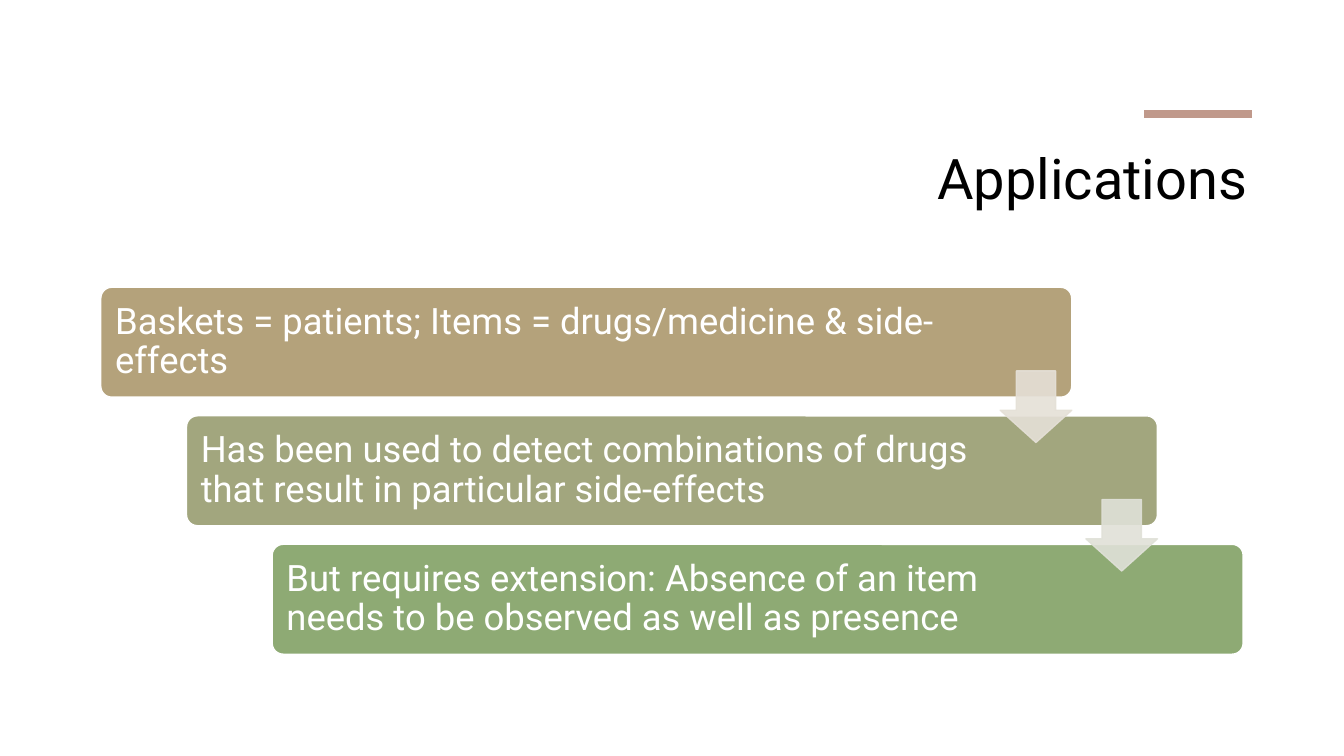
from lxml.etree import SubElement
from pptx import Presentation
from pptx.dml.color import RGBColor
from pptx.enum.shapes import MSO_CONNECTOR as Conn, MSO_SHAPE as Shape
from pptx.enum.text import MSO_ANCHOR as Anchor, MSO_AUTO_SIZE as Fit, PP_ALIGN as Align
from pptx.oxml.ns import qn
from pptx.util import Inches, Pt

CARDS = [
    ("Baskets = patients; Items = drugs/medicine & side-effects", "B4A27B", 1.23),
    ("Has been used to detect combinations of drugs that result in particular side-effects",
     "A2A67E", 1.67),
    ("But requires extension: Absence of an item needs to be observed as well as presence",
     "8EAA74", 1.67),
]
ARROWS = ["E5E0D7", "E0E1D8"]
LEFT, TOP, WIDTH, HEIGHT = 1, 2.85, 9.63, 1.09
STEP_X, STEP_Y = 0.85, 1.275
ARROW = 0.71


def rgb(code):
    return RGBColor.from_string(code)


class Deck:
    font = "Roboto"

    def __init__(self):
        self.prs = Presentation()
        self.prs.slide_width, self.prs.slide_height = Inches(13.33), Inches(7.5)
        self.slide = self.prs.slides.add_slide(self.prs.slide_layouts[5])

    def style(self, para, size, color):
        para.font.name, para.font.size = self.font, Pt(size)
        para.font.color.rgb = rgb(color)

    def title(self, text, x, y, w, h):
        box = self.slide.shapes.title
        box.left, box.top, box.width, box.height = map(Inches, (x, y, w, h))
        frame = box.text_frame
        frame.text = text
        frame.auto_size, frame.vertical_anchor = Fit.NONE, Anchor.TOP
        para = frame.paragraphs[0]
        para.alignment = Align.RIGHT
        self.style(para, 40, "000000")

    def rule(self, x, y, end, color, width):
        line = self.slide.shapes.add_connector(
            Conn.STRAIGHT, Inches(x), Inches(y), Inches(end), Inches(y))
        line.line.color.rgb, line.line.width = rgb(color), Pt(width)
        SubElement(line._element.spPr, qn("a:effectLst"))

    def block(self, kind, x, y, w, h, fill, edge, adjust):
        shape = self.slide.shapes.add_shape(kind, *map(Inches, (x, y, w, h)))
        for i, value in enumerate(adjust):
            shape.adjustments[i] = value
        shape.shadow.inherit = False
        shape.fill.solid()
        shape.fill.fore_color.rgb = rgb(fill)
        shape.line.color.rgb, shape.line.width = rgb(edge), Pt(1)
        return shape

    def card(self, text, x, y, fill, right):
        shape = self.block(Shape.ROUNDED_RECTANGLE, x, y, WIDTH, HEIGHT,
                           fill, "FFFFFF", [0.1])
        frame = shape.text_frame
        frame.word_wrap, frame.vertical_anchor = True, Anchor.MIDDLE
        frame.margin_left = frame.margin_top = frame.margin_bottom = Inches(0.11)
        frame.margin_right = Inches(right)
        frame.text = text
        para = frame.paragraphs[0]
        para.alignment, para.line_spacing = Align.LEFT, 0.9
        self.style(para, 26, "FFFFFF")

    def arrow(self, x, y, color):
        shape = self.block(Shape.DOWN_ARROW, x, y, ARROW, ARROW,
                           color, color, [0.55, 0.45])
        for tone in shape._element.spPr.iter(qn("a:srgbClr")):
            SubElement(tone, qn("a:alpha"), val="90000")


def main():
    deck = Deck()
    deck.title("Applications", 1.9, 1.37, 10.57, 1.25)
    deck.rule(11.35, 1.13, 12.42, "C0998B", 6)
    for i, (text, fill, right) in enumerate(CARDS):
        deck.card(text, LEFT + i * STEP_X, TOP + i * STEP_Y, fill, right)
    for i, color in enumerate(ARROWS):
        deck.arrow(LEFT + WIDTH - ARROW + i * STEP_X, 3.68 + i * STEP_Y, color)
    deck.prs.save("out.pptx")


if __name__ == "__main__":
    main()
